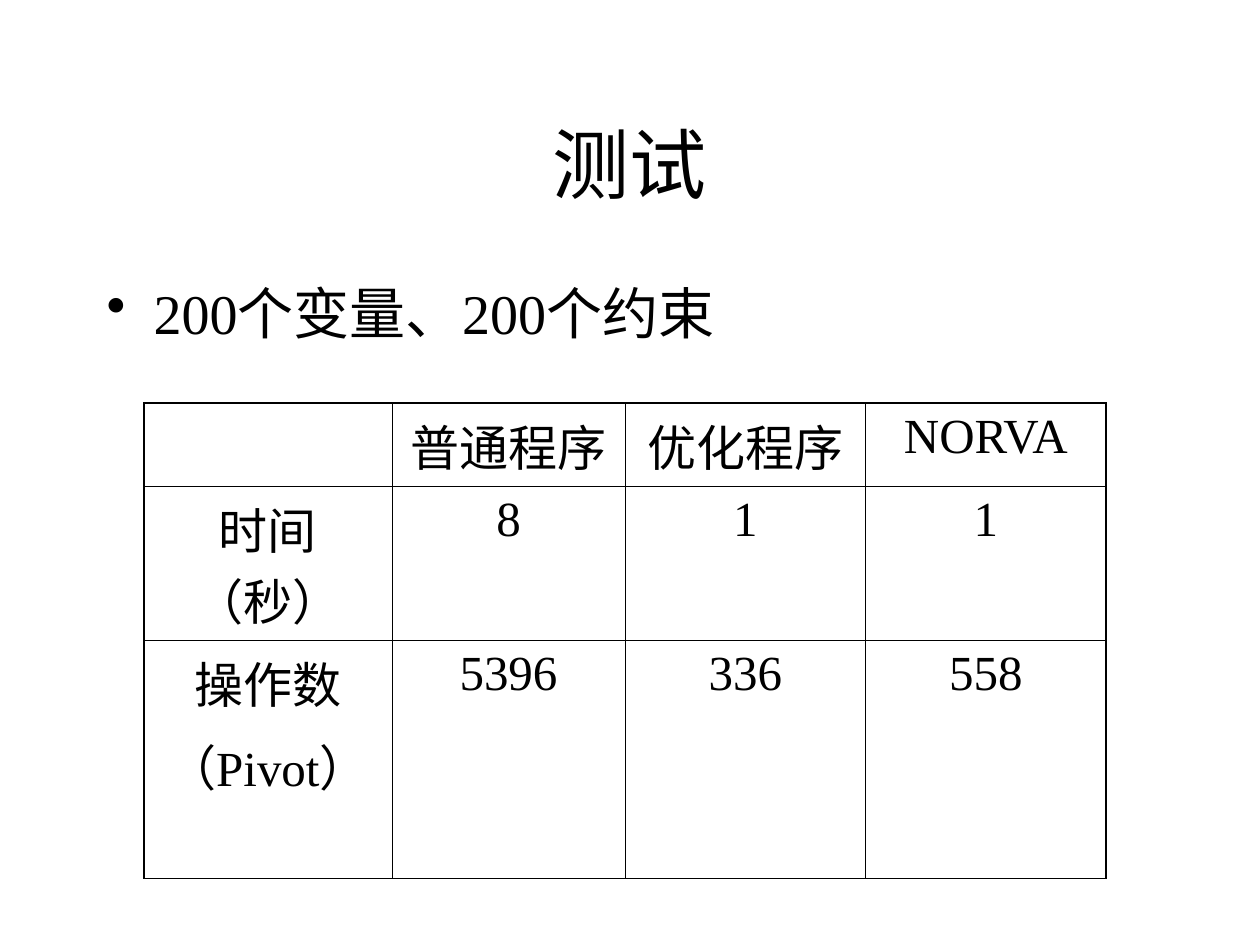
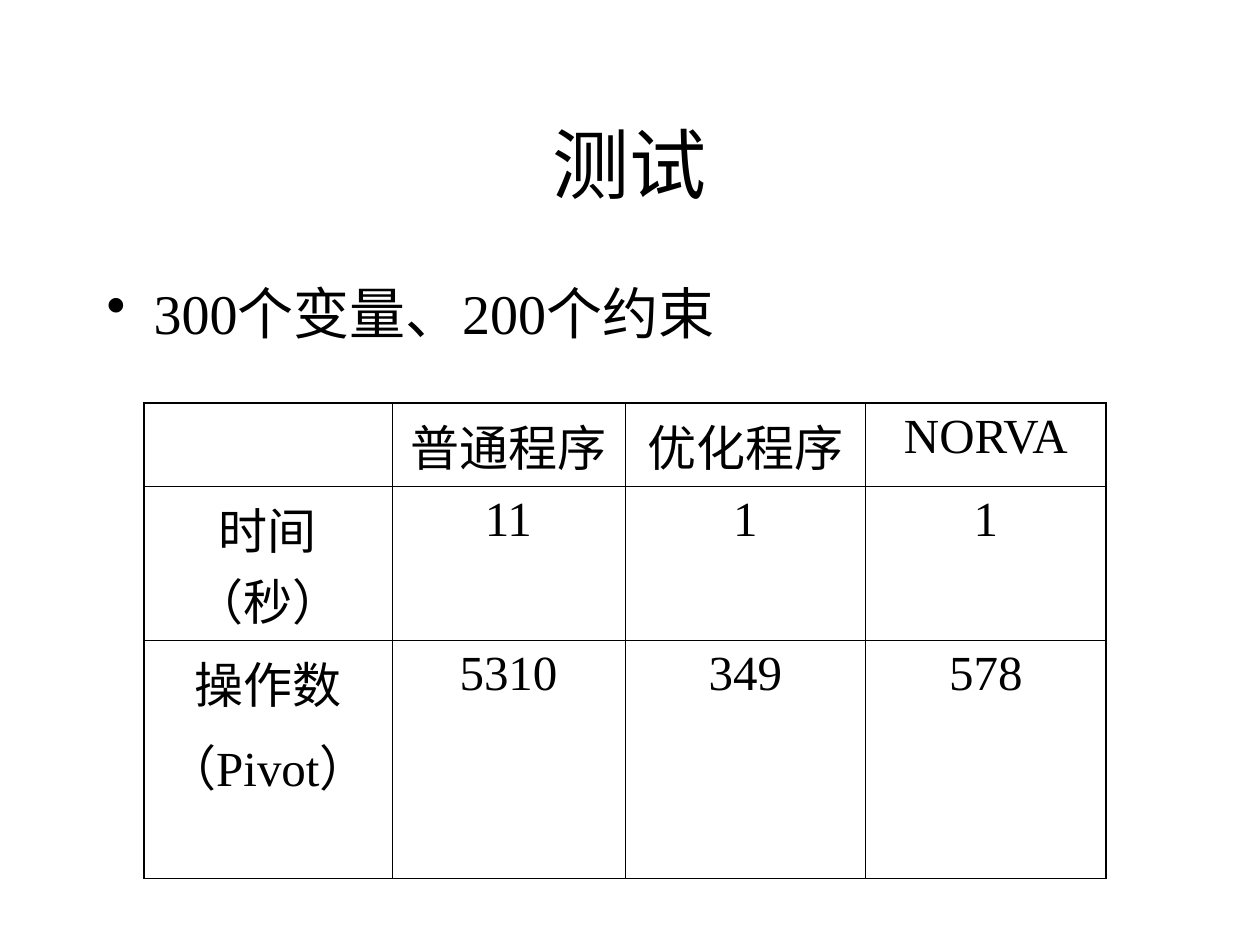
from lxml import etree
from pptx import Presentation
from pptx import util as u
from pptx.dml.color import RGBColor
from pptx.enum import lang, text
from pptx.oxml import ns

TITLE = "测试"
PROGRAMS = ["", "普通程序", "优化程序", "NORVA"]
TIME = "时间（秒）"
PIVOTS = "操作数\n（Pivot）"
TESTS = [
    ("200个变量、200个约束", [8, 1, 1], [5396, 336, 558]),
    ("300个变量、200个约束", [11, 1, 1], [5310, 349, 578]),
]

COLORS = {"ink": "000000", "paper": "FFFFFF"}
FONT = "Times New Roman"
COLUMN_WIDTHS = [5, 4.7, 4.85, 4.85]
ROW_HEIGHTS = [1.68, 3.1, 4.8]
OUTER, INNER = 1.08, 0.45


def write(frame, words, size, align=text.PP_ALIGN.CENTER, before=0, bullet=None):
    frame.word_wrap = True
    frame.text = words
    for paragraph in frame.paragraphs:
        paragraph.alignment = align
        paragraph.space_before = u.Pt(before)
        font = paragraph.font
        for run in paragraph.runs:
            font = run.font
            font.name = FONT
            font.size = u.Pt(size)
            font.color.rgb = RGBColor.from_string(COLORS["ink"])
            font.language_id = lang.MSO_LANGUAGE_ID.SIMPLIFIED_CHINESE
        if bullet:
            properties = paragraph._p.get_or_add_pPr()
            properties.set("marL", str(u.Cm(0.95)))
            properties.set("indent", str(u.Cm(-0.95)))
            etree.SubElement(properties, ns.qn("a:buChar"), char=bullet)


def add_words(slide, box, words, size, anchor=text.MSO_ANCHOR.TOP, **style):
    frame = slide.shapes.add_textbox(*map(u.Cm, box)).text_frame
    frame.vertical_anchor = anchor
    write(frame, words, size, **style)


def set_borders(cell, **widths):
    properties = cell._tc.get_or_add_tcPr()
    for place, (side, width) in enumerate(widths.items()):
        line = etree.Element(ns.qn(f"a:ln{side}"), w=str(u.Pt(width)))
        fill = etree.SubElement(line, ns.qn("a:solidFill"))
        etree.SubElement(fill, ns.qn("a:srgbClr"), val=COLORS["ink"])
        properties.insert(place, line)


def add_results(slide, rows):
    last_row, last_column = len(rows) - 1, len(PROGRAMS) - 1
    results = slide.shapes.add_table(
        len(rows), len(PROGRAMS), u.Cm(2.9), u.Cm(8.13),
        u.Cm(sum(COLUMN_WIDTHS)), u.Cm(sum(ROW_HEIGHTS))).table
    results.first_row = results.horz_banding = False
    for column, width in zip(results.columns, COLUMN_WIDTHS):
        column.width = u.Cm(width)
    for row, height in zip(results.rows, ROW_HEIGHTS):
        row.height = u.Cm(height)
    for r, values in enumerate(rows):
        for c, value in enumerate(values):
            cell = results.cell(r, c)
            cell.fill.background()
            write(cell.text_frame, str(value), 28, before=7)
            set_borders(cell,
                        L=OUTER if c == 0 else INNER,
                        R=OUTER if c == last_column else INNER,
                        T=OUTER if r == 0 else INNER,
                        B=OUTER if r == last_row else INNER)


def main():
    deck = Presentation()
    deck.slide_width, deck.slide_height = u.Cm(25.4), u.Cm(19.05)
    for problem, seconds, pivots in TESTS:
        slide = deck.slides.add_slide(deck.slide_layouts[6])
        background = slide.background.fill
        background.solid()
        background.fore_color.rgb = RGBColor.from_string(COLORS["paper"])
        add_words(slide, (1.9, 1.7, 21.6, 3.18), TITLE, 44,
                  anchor=text.MSO_ANCHOR.MIDDLE)
        add_words(slide, (1.9, 5.5, 21.6, 11.43), problem, 32,
                  align=text.PP_ALIGN.LEFT, before=8, bullet="•")
        add_results(slide, [PROGRAMS, [TIME, *seconds], [PIVOTS, *pivots]])
    deck.save("out.pptx")


if __name__ == "__main__":
    main()
